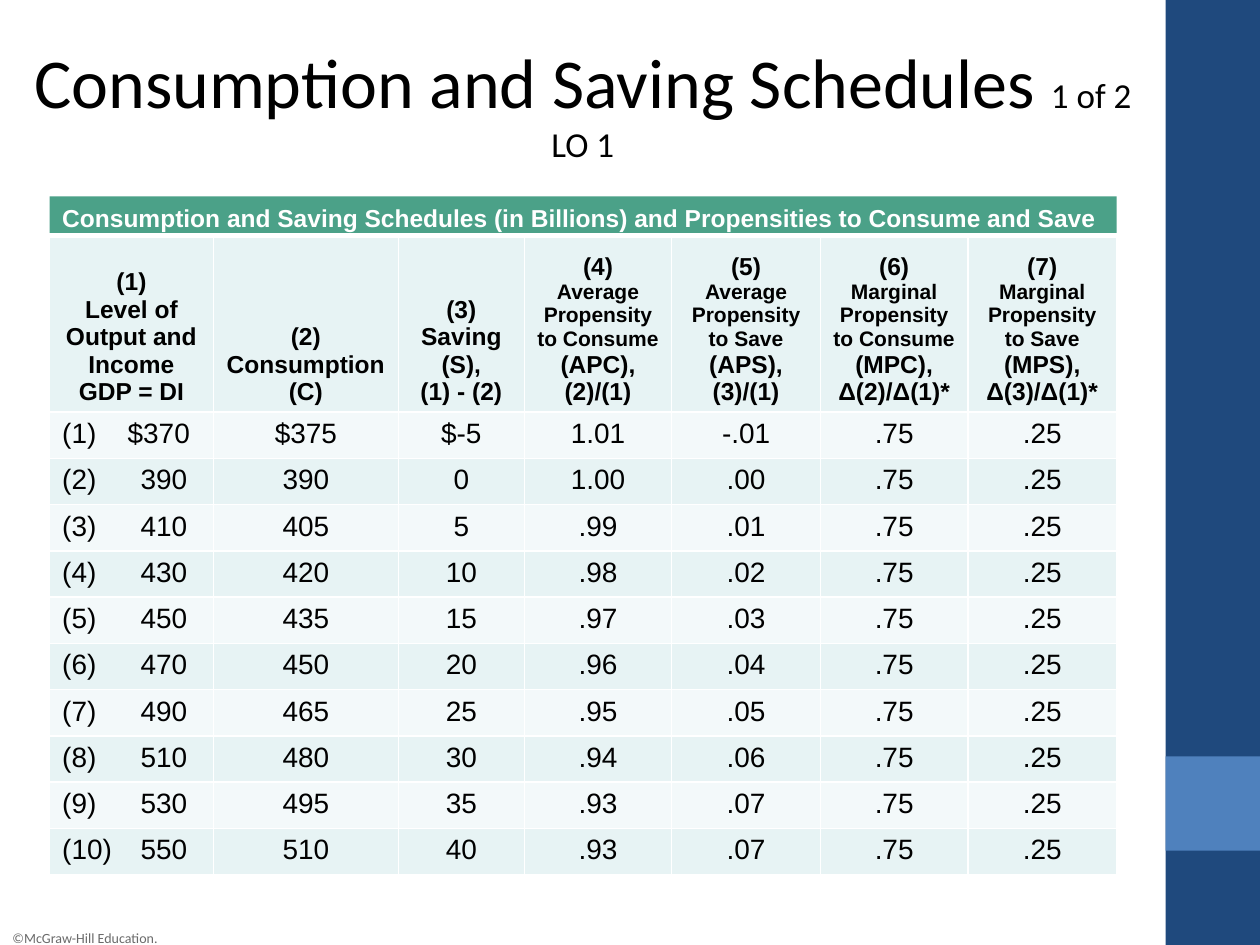
from collections import namedtuple

from lxml.etree import SubElement
from pptx import Presentation
from pptx.dml.color import RGBColor
from pptx.enum.shapes import MSO_SHAPE
from pptx.enum.text import MSO_ANCHOR, MSO_AUTO_SIZE, PP_ALIGN
from pptx.oxml.ns import qn
from pptx.util import Cm, Pt

Box = namedtuple("Box", "left top width height")

COLUMN_WIDTHS = [3.3, 3.73, 2.54, 2.97, 3, 2.97, 3]
HEADER_HEIGHT, ROW_HEIGHT = 3.56, 0.93
HEADERS = [
    ["(1)", "Level of Output and Income", "GDP = DI"],
    ["(2)", "Consumption", "(C)"],
    ["(3)", "Saving (S),", "(1) - (2)"],
    ["(4)", "Average Propensity to Consume", "(APC),", "(2)/(1)"],
    ["(5)", "Average Propensity to Save", "(APS),", "(3)/(1)"],
    ["(6)", "Marginal Propensity to Consume", "(MPC),", "Δ(2)/Δ(1)*"],
    ["(7)", "Marginal Propensity to Save", "(MPS),", "Δ(3)/Δ(1)*"],
]
SCHEDULE = [
    ["$370", "$375", "$-5", "1.01", "-.01"],
    ["390", "390", "0", "1.00", ".00"],
    ["410", "405", "5", ".99", ".01"],
    ["430", "420", "10", ".98", ".02"],
    ["450", "435", "15", ".97", ".03"],
    ["470", "450", "20", ".96", ".04"],
    ["490", "465", "25", ".95", ".05"],
    ["510", "480", "30", ".94", ".06"],
    ["530", "495", "35", ".93", ".07"],
    ["550", "510", "40", ".93", ".07"],
]
MARGINAL_PROPENSITIES = [".75", ".25"]


def color(value):
    """Turn a hex string into a colour."""
    return RGBColor.from_string(value)


def lengths(box):
    """Give the four sides of a box as lengths."""
    return [Cm(side) for side in box]


def place(shape, box):
    """Move and size a shape to fill a box."""
    shape.left, shape.top, shape.width, shape.height = lengths(box)


def write(para, text, size=14, font="Arial", fill="000000", bold=False, align=PP_ALIGN.LEFT):
    """Add a formatted span to a paragraph."""
    para.alignment = align
    para.space_before = Pt(0)
    span = para.add_run()
    span.text = text
    span.font.size = Pt(size)
    span.font.name = font
    span.font.bold = bold
    span.font.color.rgb = color(fill)


def set_indent(para, hanging, kind, **settings):
    """Set the hanging indent and the bullet kind of a paragraph."""
    properties = para._p.get_or_add_pPr()
    properties.set("marL", str(Cm(hanging)))
    properties.set("indent", str(-Cm(hanging)))
    SubElement(properties, qn(kind), **settings)


def set_borders(cell, top):
    """Draw white borders round a cell, with the given top width."""
    properties = cell._tc.get_or_add_tcPr()
    for side, width in (("L", 1), ("R", 1), ("T", top), ("B", 1)):
        line = SubElement(properties, qn(f"a:ln{side}"), w=str(Pt(width)))
        fill = SubElement(line, qn("a:solidFill"))
        SubElement(fill, qn("a:srgbClr"), val="FFFFFF")


def style_cell(cell, fill, top=1):
    """Give a cell its borders and fill."""
    set_borders(cell, top)
    cell.fill.solid()
    cell.fill.fore_color.rgb = color(fill)


def add_band(page, box, fill):
    """Add a plain coloured rectangle."""
    band = page.shapes.add_shape(MSO_SHAPE.RECTANGLE, *lengths(box))
    band.shadow.inherit = False
    band.fill.solid()
    band.fill.fore_color.rgb = color(fill)
    band.line.fill.background()


def add_sidebar(page, box):
    """Add the dark side panel and its light square."""
    add_band(page, box, "1F497D")
    square_top = box.top + box.height - 2 * box.width
    add_band(page, Box(box.left, square_top, box.width, box.width), "4F81BD")


def add_copyright(page, box):
    """Add the copyright line."""
    frame = page.shapes.add_textbox(*lengths(box)).text_frame
    frame.word_wrap = True
    write(frame.paragraphs[0], "©McGraw-Hill Education.", size=8, font="Calibri", fill="6A6A6A")


def fill_title(page, box):
    """Place and write the slide title."""
    title = page.shapes.title
    place(title, box)
    frame = title.text_frame
    frame.auto_size = MSO_AUTO_SIZE.NONE
    frame.vertical_anchor = MSO_ANCHOR.TOP
    for text, size in (("Consumption and Saving Schedules ", 40), ("1 of 2 LO 1", 20)):
        write(frame.paragraphs[0], text, size=size, font="Calibri", align=PP_ALIGN.CENTER)


def fill_caption(page, box):
    """Place and write the table caption in the body placeholder."""
    caption = page.placeholders[1]
    place(caption, box)
    caption.fill.solid()
    caption.fill.fore_color.rgb = color("4BA188")
    frame = caption.text_frame
    frame.auto_size = MSO_AUTO_SIZE.NONE
    para = frame.paragraphs[0]
    set_indent(para, 0, "a:buNone")
    write(
        para,
        "Consumption and Saving Schedules (in Billions) and Propensities to Consume and Save",
        fill="FFFFFF",
        bold=True,
    )


def fill_header(cell, lines):
    """Write the lines of a column header."""
    style_cell(cell, "E7F3F4", top=3)
    cell.vertical_anchor = MSO_ANCHOR.BOTTOM
    frame = cell.text_frame
    for index, line in enumerate(lines):
        para = frame.add_paragraph() if index else frame.paragraphs[0]
        size = 12 if "Propensity" in line else 14
        write(para, line, size=size, bold=True, align=PP_ALIGN.CENTER)


def fill_row(cells, number, values):
    """Write a numbered row of the schedule."""
    for column, (cell, value) in enumerate(zip(cells, values)):
        style_cell(cell, "F3F9FA" if number % 2 else "E7F3F4")
        para = cell.text_frame.paragraphs[0]
        if column == 0:
            hanging = 1.32 if value.startswith("$") else 1.58
            set_indent(para, hanging, "a:buAutoNum", type="arabicParenBoth", startAt=str(number))
        write(para, value, size=16, align=PP_ALIGN.CENTER if column else PP_ALIGN.LEFT)


def add_schedule(page, box):
    """Add the table of consumption and saving."""
    frame = page.shapes.add_table(len(SCHEDULE) + 1, len(HEADERS), *lengths(box))
    table = frame.table
    table.first_row = table.horz_banding = False
    for column, width in zip(table.columns, COLUMN_WIDTHS):
        column.width = Cm(width)
    for index, row in enumerate(table.rows):
        row.height = Cm(ROW_HEIGHT if index else HEADER_HEIGHT)
    for cell, lines in zip(table.rows[0].cells, HEADERS):
        fill_header(cell, lines)
    for number, values in enumerate(SCHEDULE, start=1):
        fill_row(table.rows[number].cells, number, values + MARGINAL_PROPENSITIES)


def main():
    """Build the slide and save the deck."""
    deck = Presentation()
    deck.slide_width, deck.slide_height = Cm(25.4), Cm(19.05)
    page = deck.slides.add_slide(deck.slide_layouts[1])
    add_copyright(page, Box(0, 18.62, 3.81, 0.43))
    add_sidebar(page, Box(23.5, 0, 1.9, 19.05))
    fill_title(page, Box(0, 0.64, 23.5, 1.78))
    fill_caption(page, Box(1, 3.96, 21.51, 0.79))
    table_height = HEADER_HEIGHT + ROW_HEIGHT * len(SCHEDULE)
    add_schedule(page, Box(1, 4.75, sum(COLUMN_WIDTHS), table_height))
    deck.save("out.pptx")


if __name__ == "__main__":
    main()
